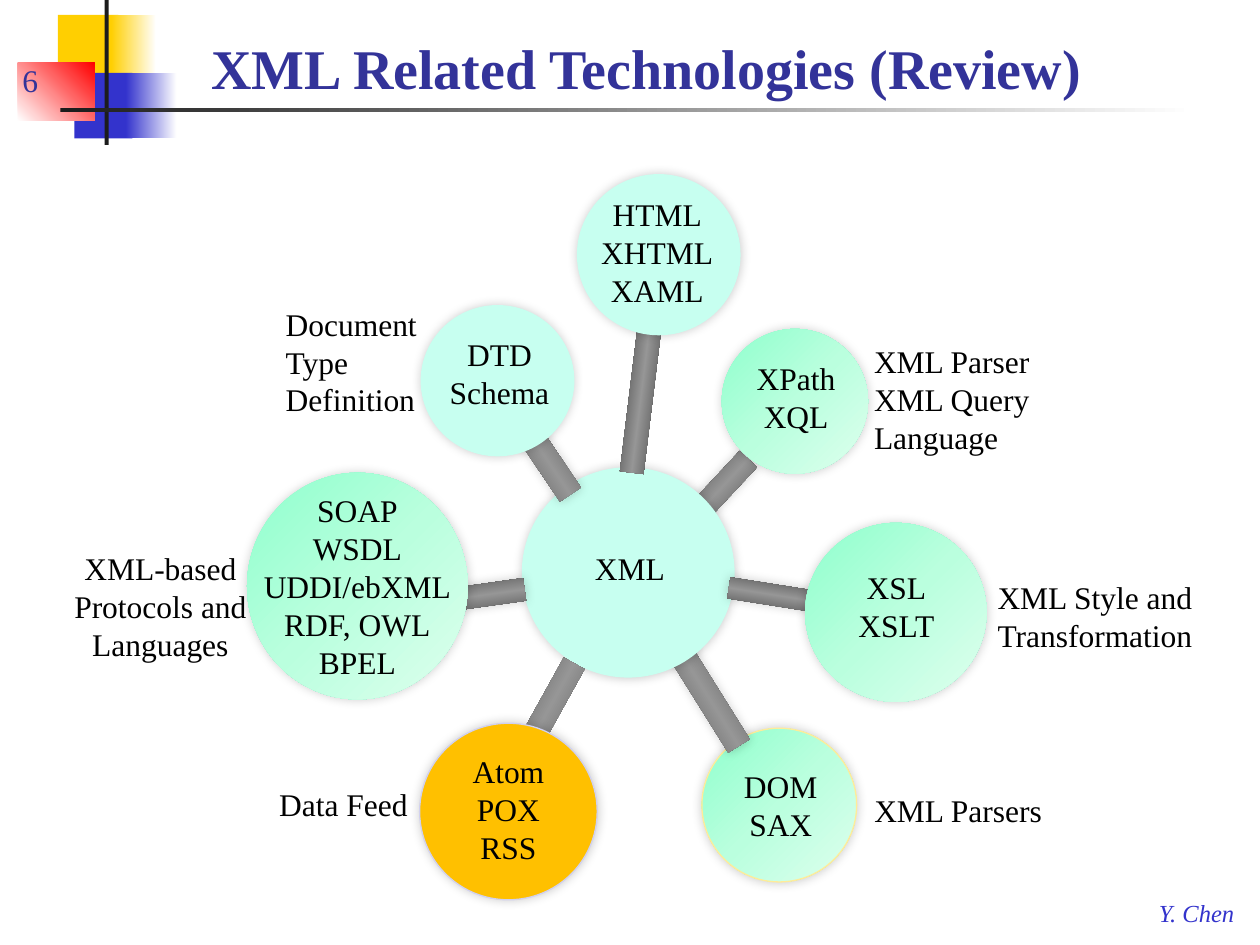
from dataclasses import dataclass
from typing import Optional, Union

from lxml.etree import SubElement
from pptx import Presentation
from pptx.dml.color import RGBColor
from pptx.enum.shapes import MSO_SHAPE
from pptx.enum.text import MSO_ANCHOR, PP_ALIGN
from pptx.oxml.ns import qn
from pptx.util import Cm, Pt

Frame = tuple[float, float, float, float]  # left, top, width, height in cm


@dataclass(frozen=True)
class Gradient:
    colors: tuple[str, ...]
    angle: int = 0  # counter-clockwise


Fill = Union[str, Gradient]


@dataclass(frozen=True)
class Theme:
    font: str = "Times New Roman"
    title_size: int = 32
    text_size: int = 18
    author_size: int = 14
    text: str = "000000"
    title: str = "333399"
    dark: str = "1C1C1C"
    white: str = "FFFFFF"
    yellow: str = "FFCF01"
    blue: str = "3333CC"
    red: str = "FF0000"
    aqua: str = "C7FFF0"
    orange: str = "FFC000"
    orange_rim: str = "D1D1F0"
    yellow_rim: str = "FFEC99"
    mint: Gradient = Gradient(("8EFFCD", "BAFFDE", "DDFFEE"), 315)
    steel: Gradient = Gradient(("454545", "969696", "454545"), 270)


THEME = Theme()


@dataclass(frozen=True)
class Block:
    frame: Frame
    fill: Fill


@dataclass(frozen=True)
class Spoke:
    frame: Frame
    rotation: int
    shadow: bool = True


@dataclass(frozen=True)
class Bubble:
    frame: Frame
    fill: Fill
    rim: Optional[str] = None


@dataclass(frozen=True)
class Label:
    frame: Frame
    text: str
    align: PP_ALIGN = PP_ALIGN.CENTER


BLOCKS = [
    Block((1.17, 0.3, 1.22, 1.32), THEME.yellow),
    Block((2.24, 0.3, 0.91, 1.32), Gradient((THEME.yellow, THEME.white))),
    Block((1.5, 1.47, 1.17, 1.32), THEME.blue),
    Block((2.54, 1.47, 1.02, 1.32), Gradient((THEME.blue, THEME.white))),
    Block((0.36, 1.27, 1.55, 1.17), Gradient((THEME.white, THEME.red), 45)),
    Block((2.11, 0, 0.08, 2.92), THEME.dark),
    Block((1.22, 2.18, 22.86, 0.08), Gradient((THEME.dark, THEME.white))),
]

# Diagram parts from back to front
DIAGRAM = [
    Bubble((14.15, 14.68, 3.12, 3.1), THEME.mint, THEME.yellow_rim),
    Spoke((13.74, 9.6, 1.6, 0.48), 313),
    Spoke((12.93, 13.69, 2.57, 0.51), 238),
    Bubble((10.52, 9.42, 4.29, 4.24), THEME.aqua),
    Label((11.48, 10.95, 2.44, 1.02), "XML"),
    Bubble((14.55, 6.63, 2.95, 2.92), THEME.mint),
    Label((14.73, 7.11, 2.64, 1.8), "XPath\nXQL"),
    Spoke((9.8, 8.81, 2.18, 0.51), 236),
    Bubble((8.48, 6.15, 3.1, 3.05), THEME.aqua),
    Spoke((9.42, 14.4, 2.9, 0.48), 119, shadow=False),
    Label((8.48, 6.63, 3.18, 1.8), "DTD\nSchema"),
    Label((14, 15.34, 3.48, 1.8), "DOM\nSAX"),
    Spoke((14.68, 11.79, 1.96, 0.43), 9),
    Bubble((16.23, 10.54, 3.66, 3.61), THEME.mint),
    Label((19.86, 11.53, 4.47, 1.8), "XML Style and\nTransformation", PP_ALIGN.LEFT),
    Label((16.38, 11.33, 3.38, 1.8), "XSL\nXSLT"),
    Label((5.51, 6.02, 3.51, 2.57), "Document\nType Definition", PP_ALIGN.LEFT),
    Label((17.37, 6.78, 4.32, 2.57), "XML Parser\nXML Query\nLanguage", PP_ALIGN.LEFT),
    Label((16.84, 15.82, 4.95, 1.02), "XML Parsers"),
    Spoke((7.9, 11.84, 2.69, 0.46), 352),
    Bubble((4.98, 9.53, 4.45, 4.57), THEME.mint),
    Label((4.98, 9.78, 4.45, 4.11), "SOAP\nWSDL\nUDDI/ebXML\nRDF, OWL\nBPEL"),
    Label((0.76, 10.95, 4.95, 2.57), "XML-based\nProtocols and Languages"),
    Bubble((8.46, 14.58, 3.58, 3.56), THEME.orange, THEME.orange_rim),
    Label((9.17, 15.04, 2.16, 2.57), "Atom\nPOX\nRSS"),
    Label((4.45, 15.7, 4.95, 1.02), "Data Feed"),
    Spoke((11.46, 7.85, 2.9, 0.48), 97, shadow=False),
    Bubble((11.63, 3.51, 3.3, 3.25), THEME.aqua),
    Label((11.66, 3.81, 3.18, 2.57), "HTML\nXHTML\nXAML"),
]


def lengths(frame: Frame) -> list:
    return [Cm(value) for value in frame]


def paint(shape, fill: Fill) -> None:
    if isinstance(fill, str):
        shape.fill.solid()
        shape.fill.fore_color.rgb = RGBColor.from_string(fill)
        return
    shape.fill.gradient()
    shape.fill.gradient_angle = fill.angle
    stops = shape.element.spPr.find(".//" + qn("a:gsLst"))
    for stop in list(stops):
        stops.remove(stop)
    for index, color in enumerate(fill.colors):
        position = round(100000 * index / (len(fill.colors) - 1))
        stop = SubElement(stops, qn("a:gs"), pos=str(position))
        SubElement(stop, qn("a:srgbClr"), val=color)


def add_soft_shadow(shape) -> None:
    effects = shape.element.spPr.find(qn("a:effectLst"))
    shadow = SubElement(effects, qn("a:outerShdw"), blurRad=str(Pt(6)), dist="0", dir="18900000")
    color = SubElement(shadow, qn("a:srgbClr"), val="000000")
    SubElement(color, qn("a:alpha"), val="20000")


def draw_shape(page, kind: MSO_SHAPE, frame: Frame, fill: Fill,
               rim: Optional[str] = None, shadow: bool = False):
    shape = page.shapes.add_shape(kind, *lengths(frame))
    paint(shape, fill)
    if rim:
        shape.line.color.rgb = RGBColor.from_string(rim)
        shape.line.width = Pt(0.75)
    else:
        shape.line.fill.background()
    shape.shadow.inherit = False
    if shadow:
        add_soft_shadow(shape)
    return shape


def write(box, text: str, align: PP_ALIGN = PP_ALIGN.LEFT, color: str = THEME.text,
          anchor: MSO_ANCHOR = MSO_ANCHOR.TOP, **extra) -> None:
    frame = box.text_frame
    frame.text = text
    frame.word_wrap = True
    frame.vertical_anchor = anchor
    form = {"name": THEME.font, "size": Pt(THEME.text_size), **extra}
    for para in frame.paragraphs:
        para.alignment = align
        for span in para.runs:
            for name, value in form.items():
                setattr(span.font, name, value)
            span.font.color.rgb = RGBColor.from_string(color)


def draw_part(page, part: Union[Spoke, Bubble, Label]) -> None:
    if isinstance(part, Spoke):
        spoke = draw_shape(page, MSO_SHAPE.RECTANGLE, part.frame, THEME.steel, shadow=part.shadow)
        spoke.rotation = part.rotation
    elif isinstance(part, Bubble):
        draw_shape(page, MSO_SHAPE.OVAL, part.frame, part.fill, part.rim, shadow=True)
    else:
        write(page.shapes.add_textbox(*lengths(part.frame)), part.text, part.align)


def main() -> None:
    deck = Presentation()
    deck.slide_width, deck.slide_height = Cm(25.4), Cm(19.05)
    page = deck.slides.add_slide(deck.slide_layouts[5])

    # Corner decoration and rule
    for block in BLOCKS:
        draw_shape(page, MSO_SHAPE.RECTANGLE, block.frame, block.fill)

    # Title, page number and author
    title = page.shapes.title
    title.left, title.top, title.width, title.height = lengths((4.01, 0.43, 21.16, 1.73))
    write(title, "XML Related Technologies (Review)", color=THEME.title,
          anchor=MSO_ANCHOR.BOTTOM, size=Pt(THEME.title_size), bold=True)
    number = page.shapes.add_textbox(*lengths((0.2, 0.84, 1.9, 1.27)))
    write(number, "6", color=THEME.title, anchor=MSO_ANCHOR.BOTTOM)
    author = page.shapes.add_textbox(*lengths((23.11, 17.98, 2.08, 0.84)))
    write(author, "Y. Chen", color=THEME.blue, size=Pt(THEME.author_size), italic=True)
    author.text_frame.word_wrap = False

    # Hub, spokes, bubbles and labels
    for part in DIAGRAM:
        draw_part(page, part)

    deck.save("out.pptx")


if __name__ == "__main__":
    main()
